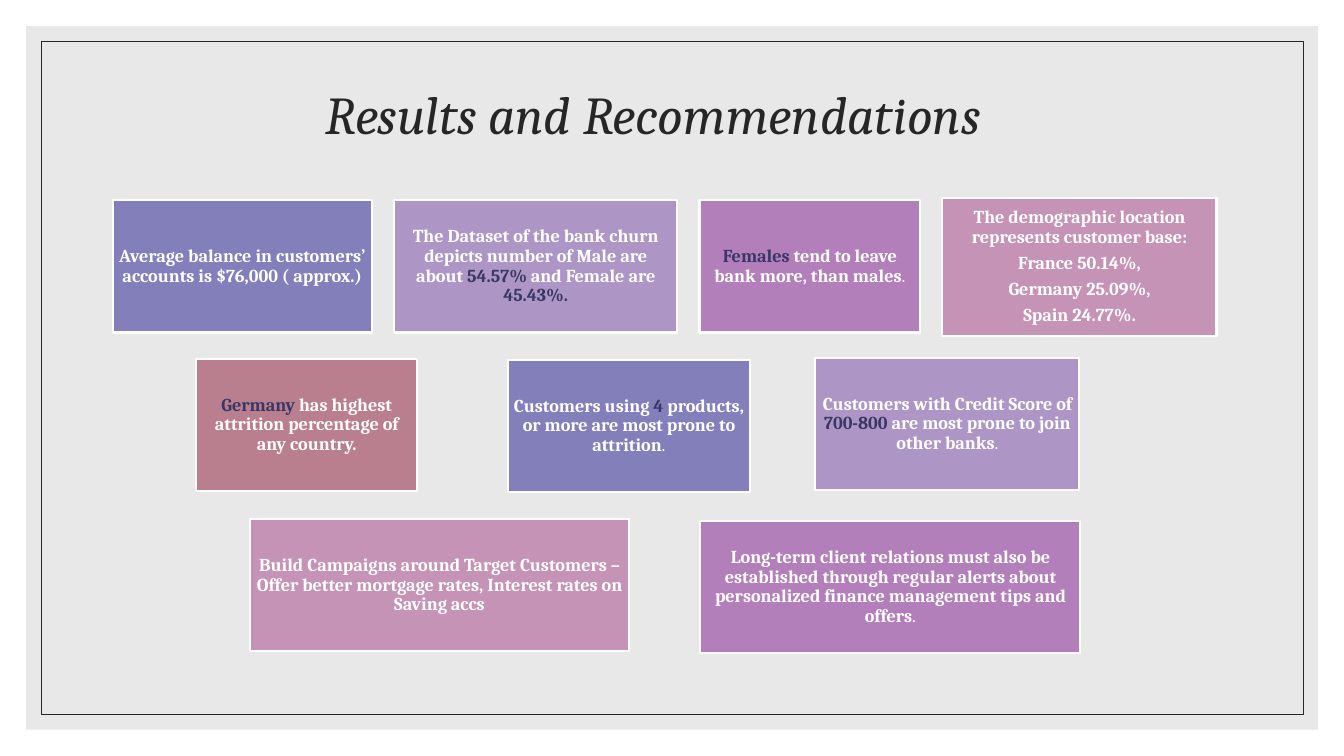
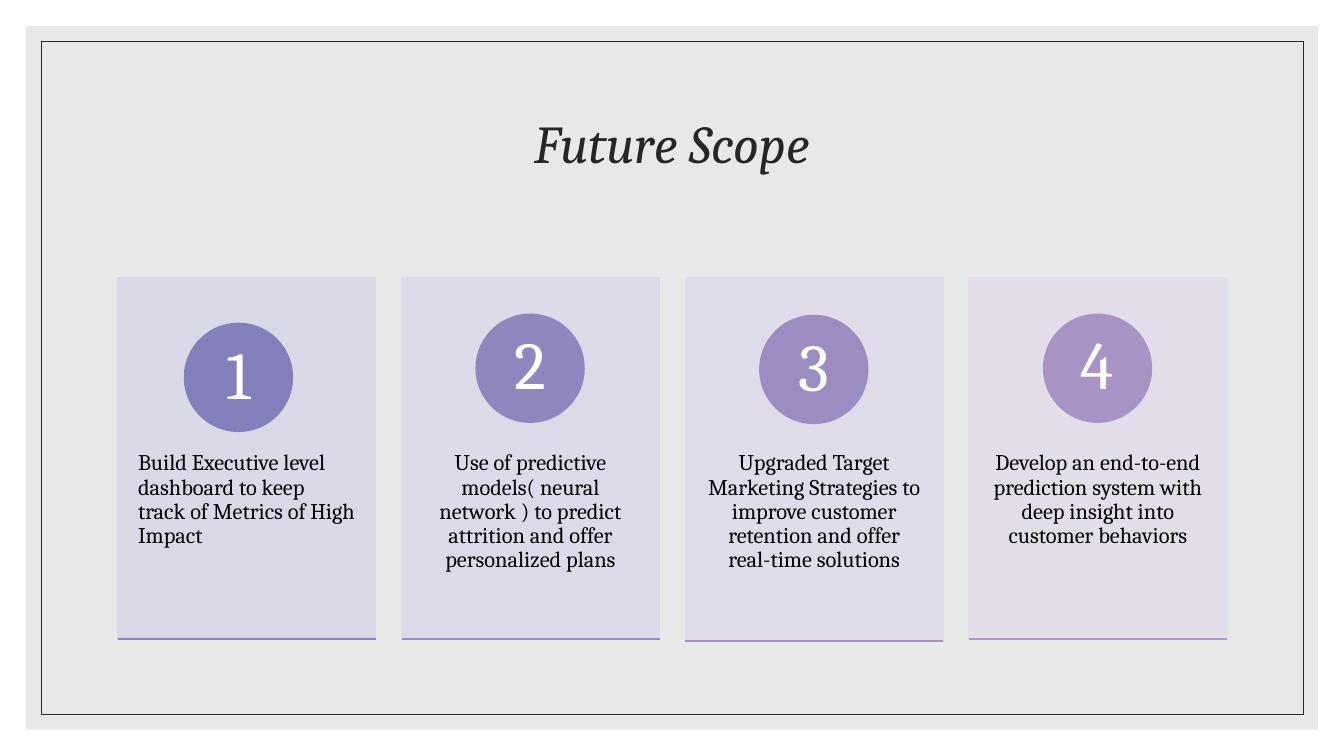
from pptx import Presentation
from pptx.dml.color import RGBColor
from pptx.enum.shapes import MSO_CONNECTOR, MSO_SHAPE
from pptx.enum.text import MSO_ANCHOR, PP_ALIGN
from pptx.oxml.xmlchemy import OxmlElement
from pptx.util import Cm, Pt

FONT = "Cambria"
WHITE = RGBColor(0xFF, 0xFF, 0xFF)
BLACK = RGBColor(0x00, 0x00, 0x00)
INK = RGBColor(0x26, 0x26, 0x26)
PANEL = RGBColor(0xE8, 0xE8, 0xE8)
NAVY = RGBColor(0x39, 0x37, 0x66)
BLUE = RGBColor(0x82, 0x7F, 0xBA)
LILAC = RGBColor(0xAD, 0x96, 0xC6)
VIOLET = RGBColor(0xB3, 0x7F, 0xBA)
PINK = RGBColor(0xC5, 0x93, 0xB5)
ROSE = RGBColor(0xBA, 0x7F, 0x8F)

deck = Presentation()
deck.slide_width, deck.slide_height = Cm(33.87), Cm(19.05)


def add_block(page, kind, left, top, width, height, fill=None, line=None, weight=1):
    block = page.shapes.add_shape(kind, Cm(left), Cm(top), Cm(width), Cm(height))
    block.shadow.inherit = False
    if fill is None:
        block.fill.background()
    else:
        block.fill.solid()
        block.fill.fore_color.rgb = fill
    if line is None:
        block.line.fill.background()
    else:
        block.line.color.rgb = line
        block.line.width = Pt(weight)
    return block


def set_paragraph(paragraph, size, color, align=PP_ALIGN.CENTER):
    paragraph.alignment = align
    paragraph.line_spacing = 0.9
    paragraph.font.name = FONT
    paragraph.font.size = Pt(size)
    paragraph.font.color.rgb = color


# Shared panel, frame and title
pages = []
for heading, left, top in [
    ("Results and Recommendations", 2.49, 1.04),
    ("Future Scope", 2.97, 1.78),
]:
    page = deck.slides.add_slide(deck.slide_layouts[5])
    add_block(page, MSO_SHAPE.RECTANGLE, 0.66, 0.66, 32.56, 17.73, fill=PANEL)
    add_block(page, MSO_SHAPE.RECTANGLE, 1.04, 1.04, 31.8, 16.97, line=INK, weight=0.5)
    title = page.shapes.title
    title.left, title.top, title.width, title.height = Cm(left), Cm(top), Cm(27.94), Cm(3.81)
    title.text_frame.text = heading
    title.text_frame.vertical_anchor = MSO_ANCHOR.MIDDLE
    set_paragraph(title.text_frame.paragraphs[0], 38, INK)
    title.text_frame.paragraphs[0].font.italic = True
    page.shapes._spTree.append(title._element)  # bring the title to the front
    pages.append(page)

results_page, future_page = pages

# Findings: left, top, width, height, fill, paragraphs (accents between bars), light full stop
findings = [
    (2.84, 5.05, 6.53, 3.33, BLUE,
     ["Average balance in customers’ accounts is $76,000 ( approx.)"], False),
    (9.93, 5.05, 7.14, 3.33, LILAC,
     ["The Dataset of the bank churn depicts number of Male are about "
      "|54.57% |and Female are |45.43%.|"], False),
    (17.63, 5.05, 5.56, 3.33, VIOLET,
     ["|Females| tend to leave bank more, than males"], True),
    (23.75, 4.98, 6.91, 3.48, PINK,
     ["The demographic location represents customer base:",
      "France 50.14%,", "Germany 25.09%,", "Spain 24.77%."], False),
    (4.95, 9.04, 5.56, 3.33, ROSE,
     ["|Germany |has highest attrition percentage of any country."], False),
    (12.8, 9.07, 6.1, 3.33, BLUE,
     ["Customers using |4| products, or more are most prone to attrition"], True),
    (20.55, 9.02, 6.65, 3.33, LILAC,
     ["Customers with Credit Score of |700-800| are most prone to join other banks"], True),
    (17.65, 13.13, 9.58, 3.33, VIOLET,
     ["Long-term client relations must also be established through regular alerts "
      "about personalized finance management tips and offers"], True),
    (6.3, 13.08, 9.55, 3.33, PINK,
     ["Build Campaigns around Target Customers – Offer better mortgage rates, "
      "Interest rates on Saving accs"], False),
]
for left, top, width, height, fill, texts, light_stop in findings:
    box = add_block(results_page, MSO_SHAPE.RECTANGLE, left, top, width, height,
                    fill, WHITE, 1.5)
    frame = box.text_frame
    frame.word_wrap = True
    frame.vertical_anchor = MSO_ANCHOR.MIDDLE
    frame.margin_left = frame.margin_right = frame.margin_top = frame.margin_bottom = Cm(0.13)
    for index, text in enumerate(texts):
        paragraph = frame.add_paragraph() if index else frame.paragraphs[0]
        set_paragraph(paragraph, 13, WHITE)
        paragraph.font.bold = True
        paragraph.space_after = Pt(4.5)
        for position, part in enumerate(text.split("|")):
            if part:
                span = paragraph.add_run()
                span.text = part
                if position % 2:
                    span.font.color.rgb = NAVY
    if light_stop:
        span = paragraph.add_run()
        span.text = "."
        span.font.bold = False

# Future steps: text, alignment, card, circle and rule colours, circle offset and top, card height
steps = [
    ("Build Executive level dashboard to keep track of Metrics of High Impact",
     PP_ALIGN.LEFT, "D8D8E7", "827FBA", "8982BC", 1.68, 8.15, 9.09),
    ("Use of predictive models( neural network ) to predict attrition "
     "and offer personalized plans",
     PP_ALIGN.CENTER, "DCD9E8", "8F86BD", "9689BF", 1.88, 7.92, 9.09),
    ("Upgraded Target Marketing Strategies to improve customer retention "
     "and offer real-time solutions",
     PP_ALIGN.CENTER, "DFDBE9", "9C8CC1", "A28FC3", 1.88, 7.95, 9.14),
    ("Develop an end-to-end prediction system with deep insight into customer behaviors",
     PP_ALIGN.CENTER, "E3DDEA", "A793C4", "AD96C6", 1.88, 7.92, 9.09),
]
CARD_LEFT, CARD_TOP, CARD_WIDTH, CARD_STEP = 2.97, 7.01, 6.5, 7.15
for index, (text, align, card_hex, circle_hex, rule_hex, offset, circle_top, height) in enumerate(steps):
    left = CARD_LEFT + index * CARD_STEP
    card_color, circle_color, rule_color = map(
        RGBColor.from_string, (card_hex, circle_hex, rule_hex))

    # Card with its text below the circle
    card = add_block(future_page, MSO_SHAPE.RECTANGLE, left, CARD_TOP, CARD_WIDTH, height,
                     card_color, card_color)
    frame = card.text_frame
    frame.word_wrap = True
    frame.vertical_anchor = MSO_ANCHOR.TOP
    frame.margin_left = frame.margin_right = Cm(0.51)
    frame.margin_top = Cm(4.37)
    frame.text = text
    set_paragraph(frame.paragraphs[0], 16, BLACK, align)

    # Numbered circle
    circle = add_block(future_page, MSO_SHAPE.OVAL, left + offset, circle_top, 2.72, 2.72,
                       circle_color, circle_color)
    frame = circle.text_frame
    frame.vertical_anchor = MSO_ANCHOR.MIDDLE
    frame.margin_left = frame.margin_right = frame.margin_top = frame.margin_bottom = 0
    frame.text = str(index + 1)
    set_paragraph(frame.paragraphs[0], 48, WHITE)

    # Rule along the card's lower edge
    bottom = Cm(CARD_TOP + height)
    rule = future_page.shapes.add_connector(
        MSO_CONNECTOR.STRAIGHT, Cm(left), bottom, Cm(left + CARD_WIDTH), bottom)
    rule.line.color.rgb = rule_color
    rule.line.width = Pt(1)
    rule._element.spPr.append(OxmlElement("a:effectLst"))

deck.save("out.pptx")
